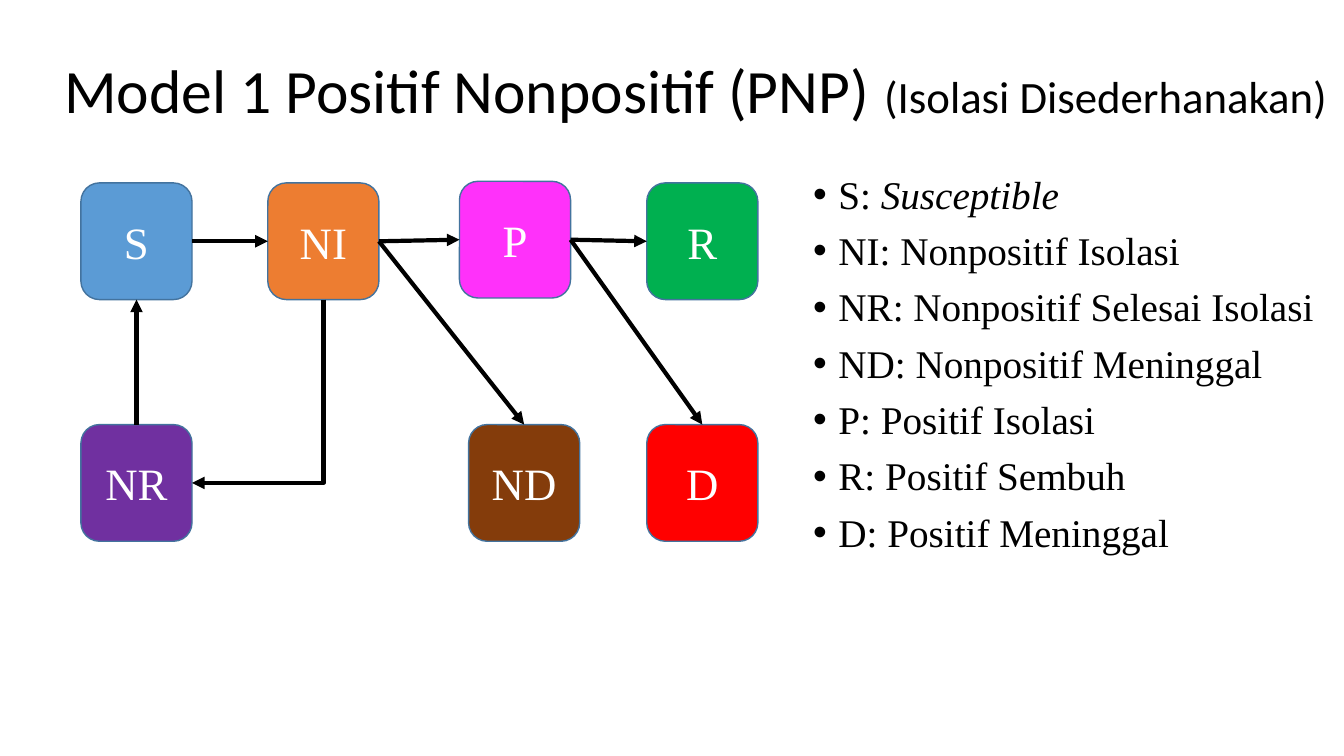
import pptx
import pptx.util
from lxml import etree
from pptx.dml.color import RGBColor
from pptx.enum.shapes import MSO_CONNECTOR, MSO_SHAPE
from pptx.enum.text import MSO_ANCHOR, PP_ALIGN
from pptx.oxml.ns import qn
from pptx.util import Cm

BLACK = RGBColor(0x00, 0x00, 0x00)
WHITE = RGBColor(0xFF, 0xFF, 0xFF)
OUTLINE = RGBColor(0x43, 0x73, 0x9E)
BLUE = RGBColor(0x5B, 0x9B, 0xD5)
ORANGE = RGBColor(0xED, 0x7D, 0x31)
PINK = RGBColor(0xFF, 0x31, 0xFA)
GREEN = RGBColor(0x00, 0xB0, 0x50)
PURPLE = RGBColor(0x70, 0x30, 0xA0)
BROWN = RGBColor(0x84, 0x3C, 0x0B)
RED = RGBColor(0xFF, 0x00, 0x00)

TOP, LEFT, BOTTOM, RIGHT = range(4)
UPPER_ROW, LOWER_ROW = 4.61, 10.7

STATES = [
    ("S", 2.04, UPPER_ROW, BLUE),
    ("NI", 6.75, UPPER_ROW, ORANGE),
    ("P", 11.58, 4.57, PINK),
    ("R", 16.3, UPPER_ROW, GREEN),
    ("NR", 2.04, LOWER_ROW, PURPLE),
    ("ND", 11.81, LOWER_ROW, BROWN),
    ("D", 16.3, LOWER_ROW, RED),
]
TRANSITIONS = [
    ("S", RIGHT, "NI", LEFT),
    ("NI", RIGHT, "P", LEFT),
    ("P", RIGHT, "R", LEFT),
    ("P", RIGHT, "D", TOP),
    ("NI", RIGHT, "ND", TOP),
    ("NR", TOP, "S", BOTTOM),
]
LEGEND = [
    ("S: ", "Susceptible"),
    ("NI: Nonpositif Isolasi", ""),
    ("NR: Nonpositif Selesai Isolasi", ""),
    ("ND: Nonpositif Meninggal", ""),
    ("P: Positif Isolasi", ""),
    ("R: Positif Sembuh", ""),
    ("D: Positif Meninggal", ""),
]


class ModelSlide:
    heading_font = "Calibri"
    body_font = "Times New Roman"

    def __init__(self, slide):
        self.slide = slide

    def style(self, font, name, size, color):
        font.name = name
        font.size = pptx.util.Pt(size)
        font.color.rgb = color

    def text_frame(self, left, top, width, height):
        box = self.slide.shapes.add_textbox(Cm(left), Cm(top), Cm(width), Cm(height))
        box.text_frame.word_wrap = True
        return box.text_frame

    def title(self, text, remark):
        frame = self.text_frame(1.37, 0.53, 32.49, 3.68)
        frame.vertical_anchor = MSO_ANCHOR.MIDDLE
        paragraph = frame.paragraphs[0]
        paragraph.line_spacing = 0.9
        for words, size in ((text, 44), (remark, 32)):
            run = paragraph.add_run()
            run.text = words
            self.style(run.font, self.heading_font, size, BLACK)

    def legend(self, entries):
        frame = self.text_frame(20.24, 4.29, 13.41, 9.88)
        for index, (text, emphasis) in enumerate(entries):
            paragraph = frame.add_paragraph() if index else frame.paragraphs[0]
            self.bullet(paragraph)
            paragraph.line_spacing = 0.9
            if index:
                paragraph.space_before = pptx.util.Pt(10)
            self.style(paragraph.font, self.body_font, 28, BLACK)
            paragraph.add_run().text = text
            if emphasis:
                run = paragraph.add_run()
                run.text = emphasis
                run.font.italic = True

    def bullet(self, paragraph):
        properties = paragraph._p.get_or_add_pPr()
        indent = Cm(0.64)
        properties.set("marL", str(indent))
        properties.set("indent", str(-indent))
        etree.SubElement(properties, qn("a:buFont"), typeface="Arial")
        etree.SubElement(properties, qn("a:buChar"), char="•")

    def state(self, name, left, top, color):
        shape = self.slide.shapes.add_shape(
            MSO_SHAPE.ROUNDED_RECTANGLE, Cm(left), Cm(top), Cm(2.8), Cm(2.94))
        shape.shadow.inherit = False
        shape.fill.solid()
        shape.fill.fore_color.rgb = color
        shape.line.color.rgb = OUTLINE
        shape.line.width = pptx.util.Pt(1)
        shape.text_frame.vertical_anchor = MSO_ANCHOR.MIDDLE
        paragraph = shape.text_frame.paragraphs[0]
        paragraph.text = name
        paragraph.alignment = PP_ALIGN.CENTER
        self.style(paragraph.font, self.body_font, 32, WHITE)
        return shape

    def arrow(self, source, source_side, target, target_side):
        connector = self.slide.shapes.add_connector(MSO_CONNECTOR.STRAIGHT, 0, 0, 0, 0)
        connector.begin_connect(source, source_side)
        connector.end_connect(target, target_side)
        connector.line.color.rgb = BLACK
        connector.line.width = pptx.util.Pt(3)
        etree.SubElement(connector.line._get_or_add_ln(), qn("a:tailEnd"), type="triangle")
        etree.SubElement(connector._element.spPr, qn("a:effectLst"))
        return connector

    def corner_arrow(self, source, target):
        connector = self.arrow(source, BOTTOM, target, RIGHT)
        width, height = connector.width, connector.height
        connector.left += (width - height) // 2
        connector.top += (height - width) // 2
        connector.width, connector.height = height, width
        properties = connector._element.spPr
        frame = properties.find(qn("a:xfrm"))
        frame.attrib.pop("flipH", None)
        frame.set("rot", str(90 * 60000))
        properties.find(qn("a:prstGeom")).set("prst", "bentConnector2")


def main():
    presentation = pptx.Presentation()
    presentation.slide_width = Cm(33.87)
    presentation.slide_height = Cm(19.05)
    model = ModelSlide(presentation.slides.add_slide(presentation.slide_layouts[6]))
    model.title("Model 1 Positif Nonpositif (PNP) ", "(Isolasi Disederhanakan)")
    model.legend(LEGEND)
    states = {state[0]: model.state(*state) for state in STATES}
    for source, source_side, target, target_side in TRANSITIONS:
        model.arrow(states[source], source_side, states[target], target_side)
    model.corner_arrow(states["NI"], states["NR"])
    presentation.save("out.pptx")


if __name__ == "__main__":
    main()
